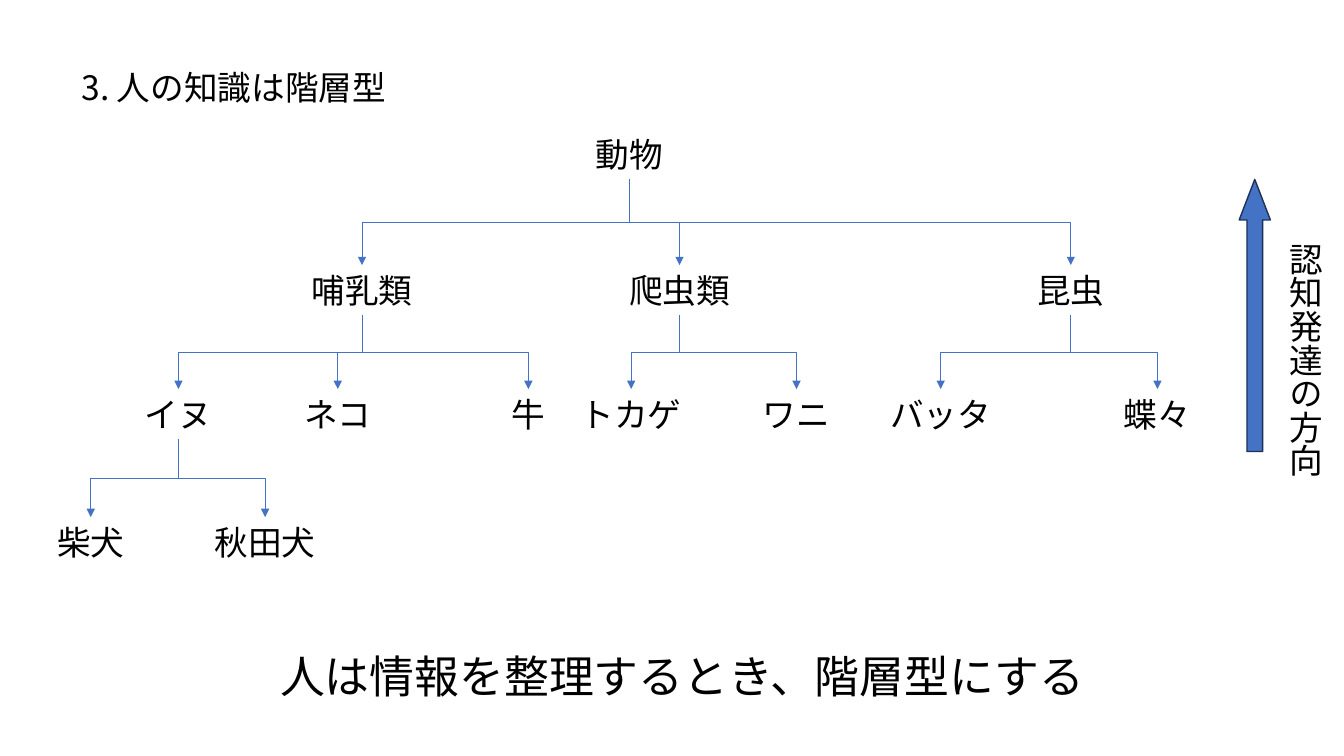
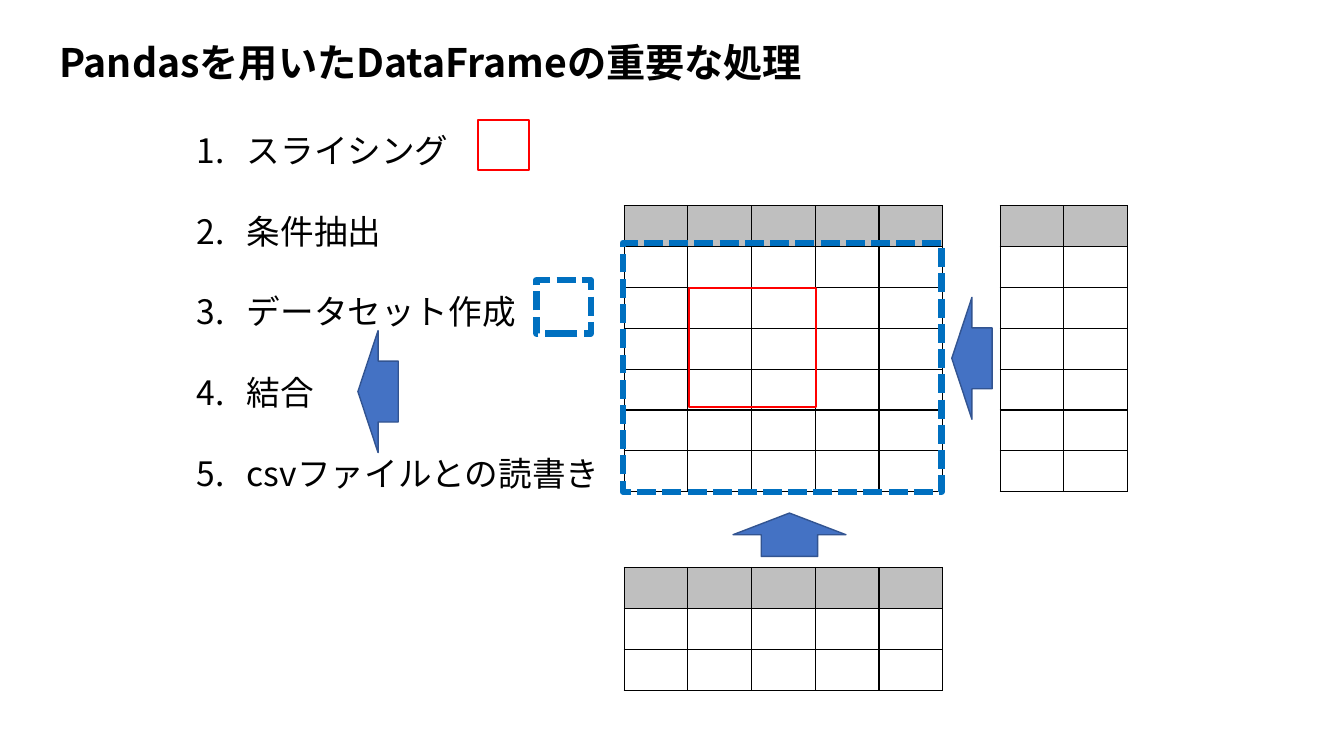
from dataclasses import dataclass
from typing import NamedTuple

from lxml import etree
from pptx import Presentation
from pptx.dml.color import RGBColor
from pptx.enum.dml import MSO_LINE
from pptx.enum.lang import MSO_LANGUAGE_ID
from pptx.enum.shapes import MSO_CONNECTOR, MSO_SHAPE
from pptx.enum.text import MSO_AUTO_SIZE, PP_ALIGN
from pptx.oxml.ns import qn
from pptx.util import Inches, Pt

ELBOW = MSO_CONNECTOR.ELBOW
RECTANGLE = MSO_SHAPE.RECTANGLE
UP_ARROW = MSO_SHAPE.UP_ARROW
LEFT_ARROW = MSO_SHAPE.LEFT_ARROW
DASH = MSO_LINE.SQUARE_DOT
LEFT = PP_ALIGN.LEFT
CENTER = PP_ALIGN.CENTER
GROW = MSO_AUTO_SIZE.SHAPE_TO_FIT_TEXT
JAPANESE = MSO_LANGUAGE_ID.JAPANESE


@dataclass(frozen=True)
class Theme:
    """Fonts, type sizes and colours shared by the slides."""

    font: str = "Noto Sans CJK JP"
    body_size: int = 24
    title_size: int = 28
    message_size: int = 32
    text: str = "000000"
    accent: str = "4472C4"
    accent_edge: str = "325491"
    accent_edge_dark: str = "1E3256"
    header: str = "BFBFBF"
    slicing: str = "FF0000"
    dataset: str = "0070C0"


THEME = Theme()


class Box(NamedTuple):
    """A rectangle in inches."""

    left: float
    top: float
    width: float
    height: float

    def inside(self, left, top, width, height):
        """Return a box offset from this one's top left corner."""
        return Box(self.left + left, self.top + top, width, height)

    def lengths(self):
        """Return the four values as slide lengths."""
        return [Inches(value) for value in self]


class Node(NamedTuple):
    """A word in the tree, centred at an offset from the tree's left edge."""

    text: str
    center: float
    children: tuple = ()


ANIMALS = Node("動物", 5.78, (
    Node("哺乳類", 3.13, (
        Node("イヌ", 1.31, (Node("柴犬", 0.44), Node("秋田犬", 2.17))),
        Node("ネコ", 2.89),
        Node("牛", 4.78),
    )),
    Node("爬虫類", 6.28, (Node("トカゲ", 5.8), Node("ワニ", 7.44))),
    Node("昆虫", 10.16, (Node("バッタ", 8.87), Node("蝶々", 11.02))),
))
LEVEL_TOPS = (0, 1.35, 2.58, 3.85)
LABEL_HEIGHT = 0.5
OPERATIONS = ("スライシング", "条件抽出", "データセット作成", "結合", "csvファイルとの読書き")


def color(value):
    """Turn a hex string into a colour."""
    return RGBColor.from_string(value)


def add_text(slide, box, *texts, size=THEME.body_size, bold=False, align=LEFT,
             wrap=False, numbered=False, gap=0, direction=None):
    """Add a text box with one paragraph for each text."""
    shape = slide.shapes.add_textbox(*box.lengths())
    frame = shape.text_frame
    frame.word_wrap = wrap
    frame.auto_size = GROW
    if direction:
        frame._txBody.bodyPr.set("vert", direction)
    for index, text in enumerate(texts):
        paragraph = frame.paragraphs[0] if index == 0 else frame.add_paragraph()
        paragraph.alignment = align
        if index < len(texts) - 1:
            paragraph.space_after = Pt(gap)
        if numbered:
            number_paragraph(paragraph)
        run = paragraph.add_run()
        run.text = text
        font = run.font
        font.name = THEME.font
        font.size = Pt(size)
        font.bold = bold
        font.language_id = JAPANESE
        font.color.rgb = color(THEME.text)
        east_asian = etree.SubElement(font._element, qn("a:ea"))
        east_asian.set("typeface", THEME.font)
    return shape


def number_paragraph(paragraph):
    """Give a paragraph a hanging automatic number."""
    properties = paragraph._p.get_or_add_pPr()
    indent = Inches(0.5)
    properties.set("marL", str(indent))
    properties.set("indent", str(-indent))
    etree.SubElement(properties, qn("a:buFont")).set("typeface", THEME.font)
    etree.SubElement(properties, qn("a:buAutoNum")).set("type", "arabicPeriod")


def add_shape(slide, kind, box, line, fill=None, weight=1, dash=None):
    """Add a preset shape without text."""
    shape = slide.shapes.add_shape(kind, *box.lengths())
    shape.shadow.inherit = False
    if fill:
        shape.fill.solid()
        shape.fill.fore_color.rgb = color(fill)
    else:
        shape.fill.background()
    shape.line.color.rgb = color(line)
    shape.line.width = Pt(weight)
    if dash:
        shape.line.dash_style = dash
    return shape


def add_block_arrow(slide, kind, box, line=THEME.accent_edge):
    """Add a filled block arrow."""
    return add_shape(slide, kind, box, line, fill=THEME.accent)


def add_slicing_mark(slide, box):
    """Add the thin frame that stands for slicing."""
    add_shape(slide, RECTANGLE, box, THEME.slicing, weight=1.5)


def add_dataset_mark(slide, box):
    """Add the dashed frame that stands for a data set."""
    add_shape(slide, RECTANGLE, box, THEME.dataset, weight=4.5, dash=DASH)


def add_branch(slide, start_x, start_y, end_x, end_y):
    """Add an elbow arrow that leaves and arrives vertically."""
    middle_x, middle_y = (start_x + end_x) / 2, (start_y + end_y) / 2
    rightward = end_x > start_x
    half_run = (end_y - start_y) / 2 * (-1 if rightward else 1)
    half_rise = abs(end_x - start_x) / 2
    connector = slide.shapes.add_connector(
        ELBOW,
        Inches(middle_x - half_run), Inches(middle_y - half_rise),
        Inches(middle_x + half_run), Inches(middle_y + half_rise))
    properties = connector._element.spPr
    rotation = 270 if rightward else 90
    properties.find(qn("a:xfrm")).set("rot", str(rotation * 60000))
    connector.line.color.rgb = color(THEME.accent)
    connector.line.width = Pt(0.5)
    line = properties.find(qn("a:ln"))
    etree.SubElement(line, qn("a:tailEnd")).set("type", "triangle")
    etree.SubElement(properties, qn("a:effectLst"))


def add_tree(slide, box, node, level=0):
    """Add a node, its descendants and the arrows between them."""
    width = 0.21 + len(node.text) / 3
    top = LEVEL_TOPS[level]
    label = box.inside(node.center - width / 2, top, width, LABEL_HEIGHT)
    add_text(slide, label, node.text, align=CENTER)
    for child in node.children:
        add_branch(slide, box.left + node.center, label.top + LABEL_HEIGHT,
                   box.left + child.center, box.top + LEVEL_TOPS[level + 1])
        add_tree(slide, box, child, level + 1)


def add_direction(slide, box):
    """Add the upward arrow and its vertical caption."""
    arrow = add_block_arrow(slide, UP_ARROW, box.inside(0, 0, 0.31, 2.7),
                            line=THEME.accent_edge_dark)
    arrow.adjustments[0] = 0.5
    arrow.adjustments[1] = 1.3
    add_text(slide, box.inside(0.29, 0.53, 0.61, 2.46), "認知発達の方向",
             direction="eaVert")


def border_cell(cell):
    """Draw a thin line on each side of a cell."""
    properties = cell._tc.get_or_add_tcPr()
    for index, side in enumerate(("lnL", "lnR", "lnT", "lnB")):
        line = etree.Element(qn(f"a:{side}"), w=str(Pt(1)))
        fill = etree.SubElement(line, qn("a:solidFill"))
        etree.SubElement(fill, qn("a:srgbClr")).set("val", THEME.text)
        properties.insert(index, line)


def add_grid(slide, box, row_count, column_count):
    """Add an empty table with a grey header row and equal cells."""
    table = slide.shapes.add_table(row_count, column_count, *box.lengths()).table
    table.first_row = False
    table.horz_banding = False
    for column in table.columns:
        column.width = Inches(box.width / column_count)
    for row_index, row in enumerate(table.rows):
        row.height = Inches(box.height / row_count)
        for cell in row.cells:
            cell.margin_top = cell.margin_bottom = 0
            if row_index == 0:
                cell.fill.solid()
                cell.fill.fore_color.rgb = color(THEME.header)
            else:
                cell.fill.background()
            border_cell(cell)


def add_operations(slide, box):
    """Add the numbered operations and the mark beside each."""
    add_text(slide, box, *OPERATIONS, wrap=True, numbered=True, gap=28.8)
    add_slicing_mark(slide, box.inside(2.89, -0.05, 0.51, 0.5))
    add_block_arrow(slide, LEFT_ARROW, box.inside(1.7, 2.04, 0.4, 1.21))
    add_dataset_mark(slide, box.inside(3.47, 1.54, 0.54, 0.53))


def add_frames(slide, box):
    """Add the main grid, the grids joined to it and their marks."""
    add_grid(slide, box.inside(0, 0, 3.16, 2.84), 7, 5)
    add_slicing_mark(slide, box.inside(0.64, 0.82, 1.26, 1.18))
    add_grid(slide, box.inside(0, 3.59, 3.16, 1.22), 3, 5)
    add_grid(slide, box.inside(3.73, 0, 1.26, 2.84), 7, 2)
    add_block_arrow(slide, LEFT_ARROW, box.inside(3.25, 0.91, 0.4, 1.21))
    add_block_arrow(slide, UP_ARROW, box.inside(1.08, 3.05, 1.12, 0.43))
    add_dataset_mark(slide, box.inside(-0.01, 0.37, 3.16, 2.47))


def build_hierarchy_slide(slide):
    """Build the slide on hierarchical knowledge."""
    add_text(slide, Box(0.71, 0.61, 3.33, 0.5), "3. 人の知識は階層型")
    add_tree(slide, Box(0.46, 1.28, 11.46, 4.35), ANIMALS)
    add_direction(slide, Box(12.29, 1.78, 0.9, 2.99))
    add_text(slide, Box(2.68, 6.39, 8.28, 0.64),
             "人は情報を整理するとき、階層型にする", size=THEME.message_size)


def build_dataframe_slide(slide):
    """Build the slide on table operations."""
    add_text(slide, Box(0.49, 0.33, 7.91, 0.57),
             "Pandasを用いたDataFrameの重要な処理",
             size=THEME.title_size, bold=True)
    add_operations(slide, Box(1.85, 1.24, 4.27, 4.54))
    add_frames(slide, Box(6.19, 2.04, 4.99, 4.81))


def main():
    """Build and save the presentation."""
    presentation = Presentation()
    presentation.slide_width = Inches(13.33)
    presentation.slide_height = Inches(7.5)
    blank = presentation.slide_layouts[6]
    for build in (build_hierarchy_slide, build_dataframe_slide):
        build(presentation.slides.add_slide(blank))
    presentation.save("out.pptx")


if __name__ == "__main__":
    main()
